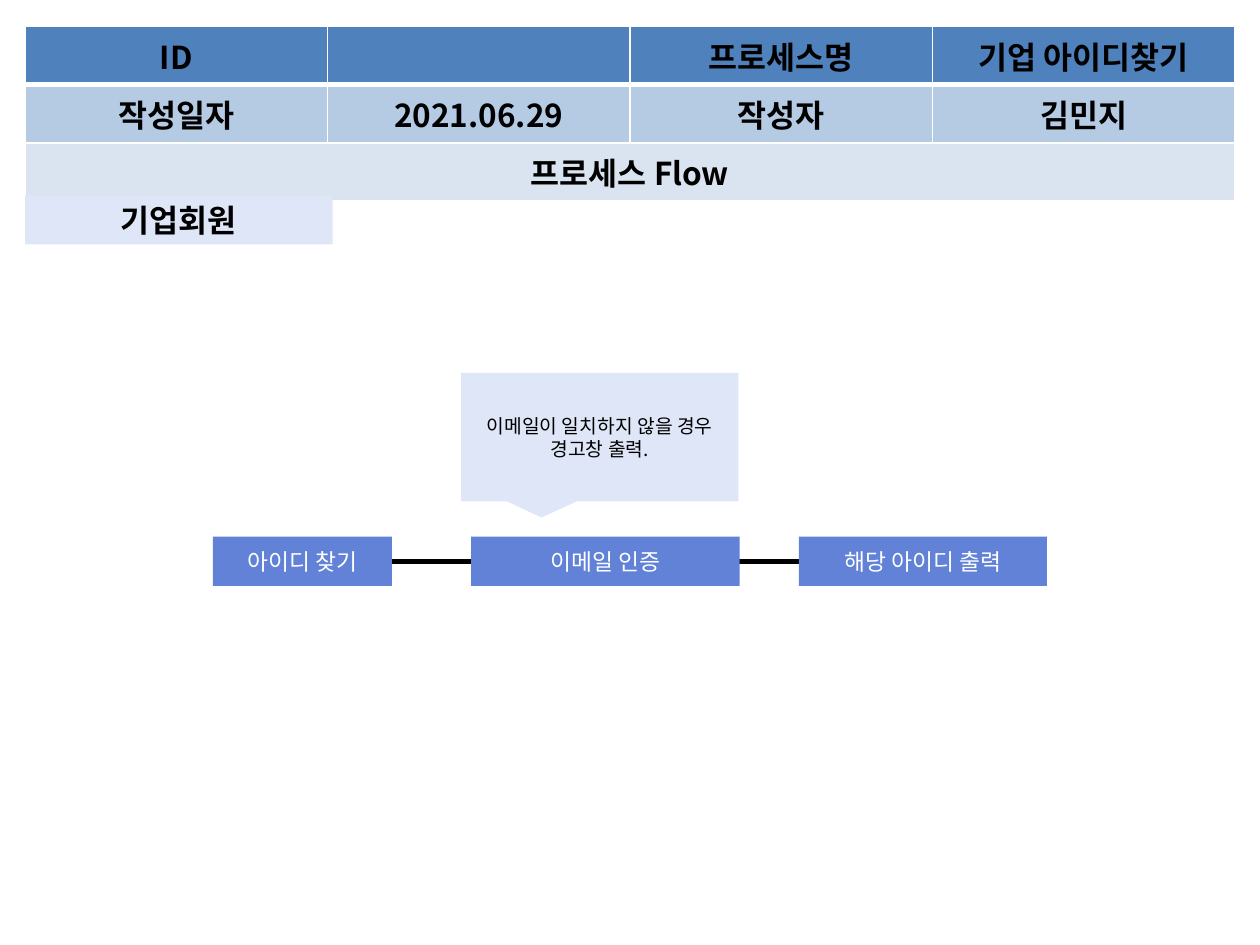
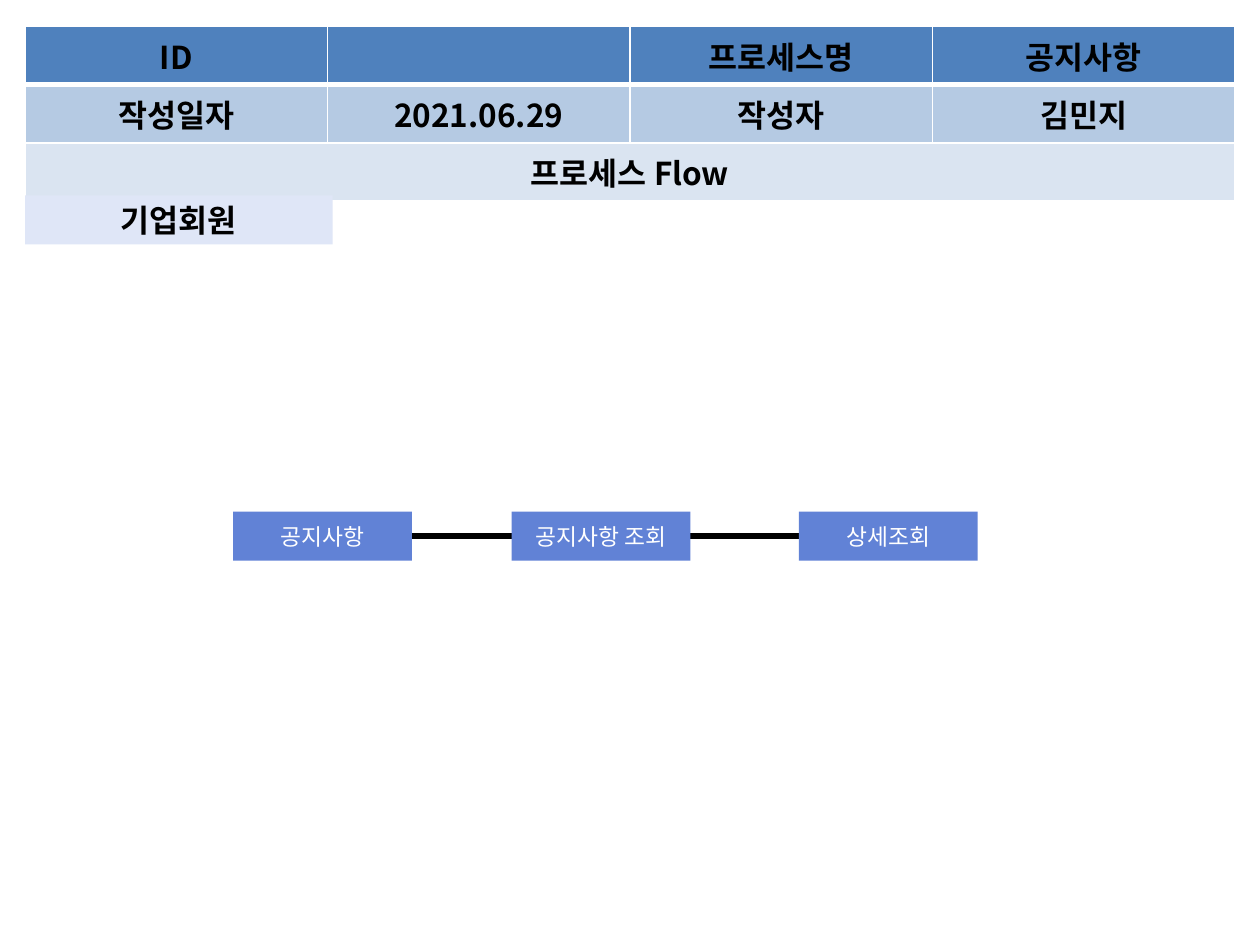
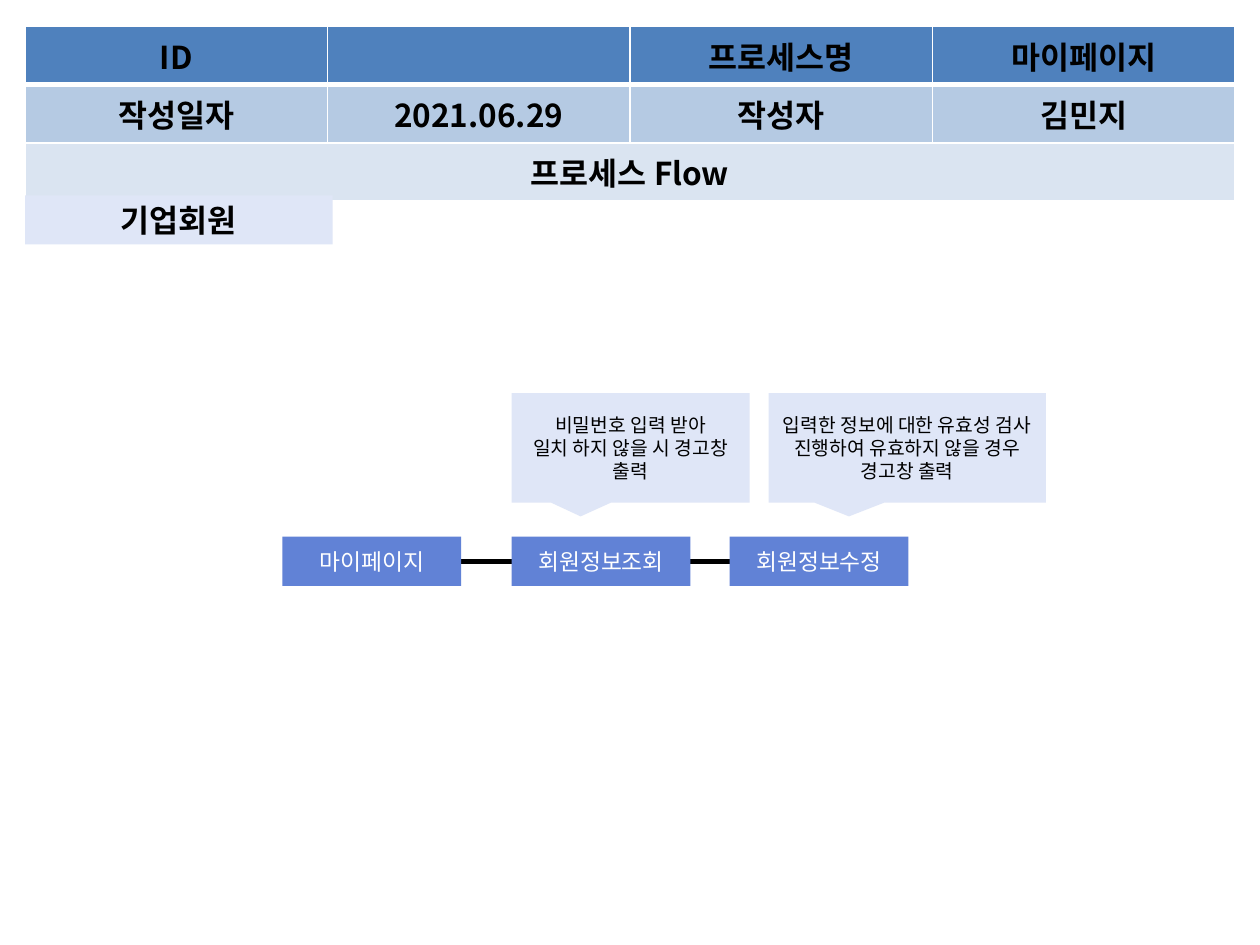
import pptx
import pptx.util
import pptx.dml.color
import pptx.enum.shapes
import pptx.enum.text
import pptx.oxml
import pptx.oxml.ns

Inches, Pt = pptx.util.Inches, pptx.util.Pt
SHAPE = pptx.enum.shapes.MSO_SHAPE

# Shared look
FONT = "Noto Sans CJK KR"
BLACK, WHITE, PALE, BLUE = "000000", "FFFFFF", "DFE6F7", "6182D6"
ROW_FILLS = ["4F81BD", "B5CAE3", "DAE4F1"]
LEFT, TOP = 0.2, 0.21
COLS = [1.02, 1.38, 2.4, 2.4, 2.4]
ROW_H, STEP_H = 0.41, 0.39
MEMBER_BOX = (LEFT, 1.55, 2.44, STEP_H)

# Content: steps are (text, left, width); notes are (lines, left, top, width, height)
DATE, AUTHOR, MEMBER = "2021.06.29", "김민지", "기업회원"
PROCESSES = [
    {"name": "기업 아이디찾기", "top": 4.26,
     "steps": [("아이디 찾기", 1.69, 1.42), ("이메일 인증", 3.74, 2.13),
               ("해당 아이디 출력", 6.34, 1.97)],
     "notes": [(["이메일이 일치하지 않을 경우 경고창 출력."], 3.66, 2.96, 2.2, 1.02)]},
    {"name": "공지사항", "top": 4.06,
     "steps": [("공지사항", 1.85, 1.42), ("공지사항 조회", 4.06, 1.42),
               ("상세조회", 6.34, 1.42)],
     "notes": []},
    {"name": "마이페이지", "top": 4.26,
     "steps": [("마이페이지", 2.24, 1.42), ("회원정보조회", 4.06, 1.42),
               ("회원정보수정", 5.79, 1.42)],
     "notes": [(["비밀번호 입력 받아", "일치 하지 않을 시 경고창 출력"], 4.06, 3.12, 1.89, 0.87),
               (["입력한 정보에 대한 유효성 검사 진행하여 유효하지 않을 경우 경고창 출력"],
                6.1, 3.12, 2.2, 0.87)]},
]


def rgb(value):
    return pptx.dml.color.RGBColor.from_string(value)


def write(tf, lines, size=18, color=BLACK, bold=False):
    for i, line in enumerate(lines):
        p = tf.paragraphs[0] if i == 0 else tf.add_paragraph()
        p.alignment = pptx.enum.text.PP_ALIGN.CENTER
        r = p.add_run()
        r.text = line
        r.font.size, r.font.bold, r.font.name = Pt(size), bold, FONT
        r.font.color.rgb = rgb(color)
        ea = r.font._element.makeelement(pptx.oxml.ns.qn("a:ea"), {"typeface": FONT})
        r.font._element.append(ea)


def add_box(slide, lines, box, fill, kind=SHAPE.RECTANGLE, **style):
    sp = slide.shapes.add_shape(kind, *map(Inches, box))
    sp.shadow.inherit = False
    sp.fill.solid()
    sp.fill.fore_color.rgb = rgb(fill)
    sp.line.fill.background()
    tf = sp.text_frame
    tf.word_wrap = True
    tf.vertical_anchor = pptx.enum.text.MSO_ANCHOR.MIDDLE
    tf.margin_left = tf.margin_right = Inches(0.08)
    write(tf, lines, **style)
    return sp


def set_borders(cell, **widths):
    tcPr = cell._tc.get_or_add_tcPr()
    for side in "LRTB":
        tcPr.append(pptx.oxml.parse_xml(
            f'<a:ln{side} {pptx.oxml.ns.nsdecls("a")} w="{Pt(widths.get(side, 1))}">'
            f'<a:solidFill><a:srgbClr val="{WHITE}"/></a:solidFill></a:ln{side}>'))


def add_header(slide, name):
    rows = [["ID", None, "", "프로세스명", name],
            ["작성일자", None, DATE, "작성자", AUTHOR],
            ["프로세스 Flow", None, None, None, None]]
    table = slide.shapes.add_table(
        len(rows), len(COLS), Inches(LEFT), Inches(TOP),
        Inches(sum(COLS)), Inches(ROW_H * len(rows))).table
    for column, width in zip(table.columns, COLS):
        column.width = Inches(width)
    for i, row in enumerate(rows):
        table.rows[i].height = Inches(ROW_H)
        for j, text in enumerate(row):
            cell = table.cell(i, j)
            set_borders(cell, T=3 if i == 1 else 1, B=3 if i == 0 else 1)
            cell.fill.solid()
            cell.fill.fore_color.rgb = rgb(ROW_FILLS[i])
            if text:
                write(cell.text_frame, [text], bold=True)
        # None marks cells joined to the first one
        table.cell(i, 0).merge(table.cell(i, row.count(None)))


def add_flow(slide, steps, top):
    # One line runs behind the steps, from the first to the last
    start, end = steps[0][1] + steps[0][2], steps[-1][1]
    y = Inches(top + STEP_H / 2)
    line = slide.shapes.add_connector(
        pptx.enum.shapes.MSO_CONNECTOR.STRAIGHT, Inches(start), y, Inches(end), y)
    line.line.color.rgb = rgb(BLACK)
    line.line.width = Pt(3)
    spPr = line._element.spPr
    spPr.append(spPr.makeelement(pptx.oxml.ns.qn("a:effectLst"), {}))
    for text, left, width in steps:
        add_box(slide, [text], (left, top, width, STEP_H), BLUE, size=13, color=WHITE)


def main():
    prs = pptx.Presentation()
    prs.slide_width, prs.slide_height = Inches(10), Inches(7.5)
    for process in PROCESSES:
        slide = prs.slides.add_slide(prs.slide_layouts[6])
        add_header(slide, process["name"])
        add_box(slide, [MEMBER], MEMBER_BOX, PALE, bold=True)
        add_flow(slide, process["steps"], process["top"])
        for lines, *box in process["notes"]:
            sp = add_box(slide, lines, box, PALE, SHAPE.RECTANGULAR_CALLOUT, size=11)
            sp.adjustments[0], sp.adjustments[1] = -0.21, 0.625
    prs.save("out.pptx")


if __name__ == "__main__":
    main()
